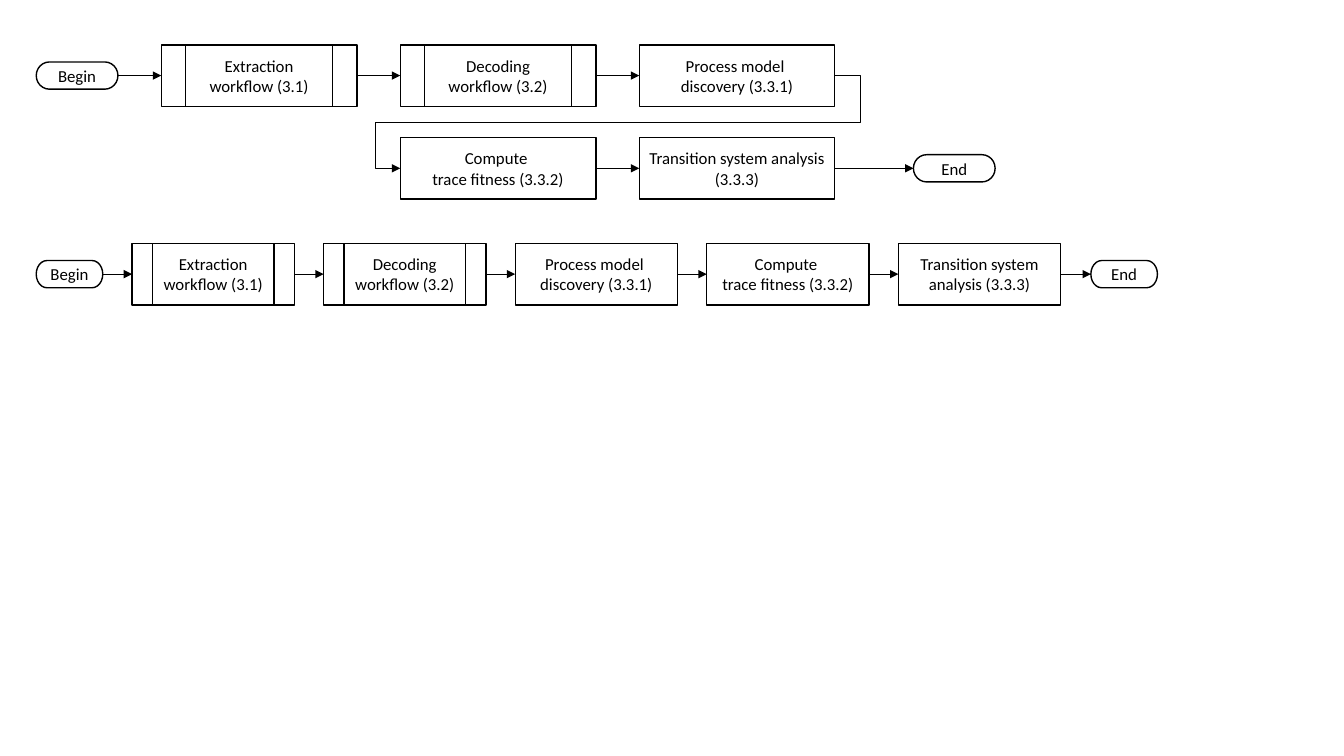
from dataclasses import dataclass

from lxml.etree import SubElement
from pptx import Presentation
from pptx.dml.color import RGBColor
from pptx.enum.shapes import MSO_CONNECTOR as LINK, MSO_SHAPE as SHAPE
from pptx.enum.text import MSO_ANCHOR, PP_ALIGN
from pptx.oxml.ns import qn
from pptx.util import Inches, Pt


@dataclass(frozen=True)
class Theme:
    ink: RGBColor = RGBColor(0, 0, 0)
    paper: RGBColor = RGBColor(255, 255, 255)
    font: str = "Calibri"
    text: Pt = Pt(12)
    outline: Pt = Pt(1)
    arrow: Pt = Pt(0.5)


T = Theme()

# Content: steps in order, \v is a line break
STEPS = [
    (SHAPE.FLOWCHART_PREDEFINED_PROCESS, "Extraction workflow (3.1)"),
    (SHAPE.FLOWCHART_PREDEFINED_PROCESS, "Decoding workflow (3.2)"),
    (SHAPE.RECTANGLE, "Process model \vdiscovery (3.3.1)"),
    (SHAPE.RECTANGLE, "Compute \vtrace fitness (3.3.2)"),
    (SHAPE.RECTANGLE, "Transition system analysis (3.3.3)"),
]
# Each flow: (column, row middle) of every step, and its widths and gaps
FLOWS = [
    dict(cells=[(0, 0.75), (1, 0.75), (2, 0.75), (1, 1.67), (2, 1.67)],
         end_w=0.81, step_w=1.94, gap=0.43, last_gap=0.78),
    dict(cells=[(col, 2.72) for col in range(5)],
         end_w=0.66, step_w=1.61, gap=0.29, last_gap=0.3),
]
LEFT, STEP_H, END_H = 0.36, 0.61, 0.27
LEFT_SITE, RIGHT_SITE = 1, 3
WRAP_ADJUST = (-5800, 50000, 105800)


def add_box(group, kind, text, x, middle, w, h):
    sp = group.shapes.add_shape(kind, Inches(x), Inches(middle - h / 2), Inches(w), Inches(h))
    sp.shadow.inherit = False
    sp.fill.solid()
    sp.fill.fore_color.rgb = T.paper
    sp.line.color.rgb = T.ink
    sp.line.width = T.outline
    tf = sp.text_frame
    tf.word_wrap = True
    tf.vertical_anchor = MSO_ANCHOR.MIDDLE
    p = tf.paragraphs[0]
    p.text = text
    p.alignment = PP_ALIGN.CENTER
    p.font.name, p.font.size, p.font.color.rgb = T.font, T.text, T.ink
    return sp


def add_arrow(group, a, b):
    wraps = b.left < a.left
    cx = group.shapes.add_connector(
        LINK.ELBOW if wraps else LINK.STRAIGHT,
        a.left + a.width, a.top + a.height // 2, b.left, b.top + b.height // 2)
    cx.begin_connect(a, RIGHT_SITE)
    cx.end_connect(b, LEFT_SITE)
    cx.line.color.rgb = T.ink
    cx.line.width = T.arrow
    props = cx._element.spPr
    SubElement(props.find(qn("a:ln")), qn("a:tailEnd"), type="triangle")
    SubElement(props, qn("a:effectLst"))
    if wraps:  # five-part elbow that returns to the next row
        geometry = props.find(qn("a:prstGeom"))
        geometry.set("prst", "bentConnector5")
        guides = geometry.find(qn("a:avLst"))
        for i, value in enumerate(WRAP_ADJUST, 1):
            SubElement(guides, qn("a:gd"), name=f"adj{i}", fmla=f"val {value}")


def add_flow(s, cells, end_w, step_w, gap, last_gap):
    group = s.shapes.add_group_shape()
    first_x = LEFT + end_w + gap
    xs = [first_x + col * (step_w + gap) for col, _ in cells]
    middles = [middle for _, middle in cells]

    # Boxes
    boxes = [add_box(group, SHAPE.FLOWCHART_TERMINATOR, "Begin", LEFT, middles[0], end_w, END_H)]
    for (kind, text), x, middle in zip(STEPS, xs, middles):
        boxes.append(add_box(group, kind, text, x, middle, step_w, STEP_H))
    boxes.append(add_box(group, SHAPE.FLOWCHART_TERMINATOR, "End",
                         xs[-1] + step_w + last_gap, middles[-1], end_w, END_H))

    # Arrows between neighbours
    for a, b in zip(boxes, boxes[1:]):
        add_arrow(group, a, b)


prs = Presentation()
prs.slide_width, prs.slide_height = Inches(13.33), Inches(7.5)
s = prs.slides.add_slide(prs.slide_layouts[6])
for flow in FLOWS:
    add_flow(s, **flow)
prs.save("out.pptx")
